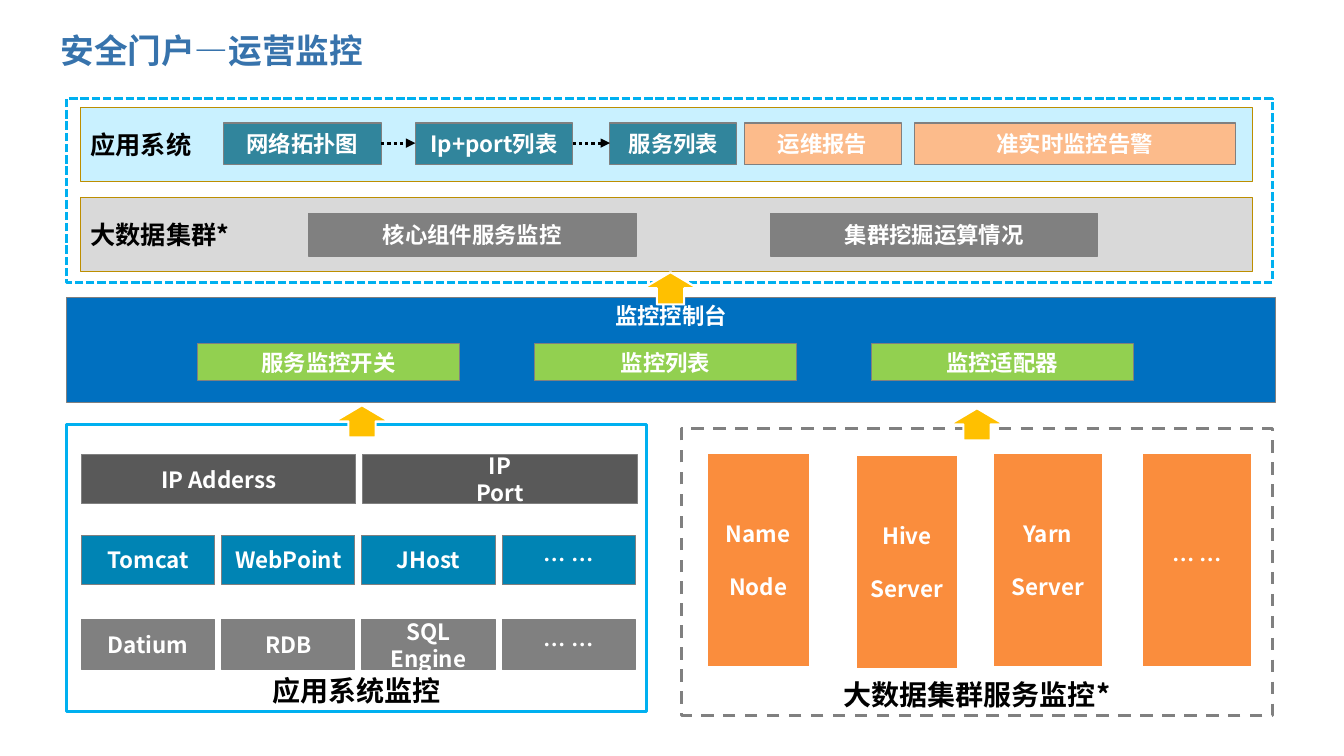
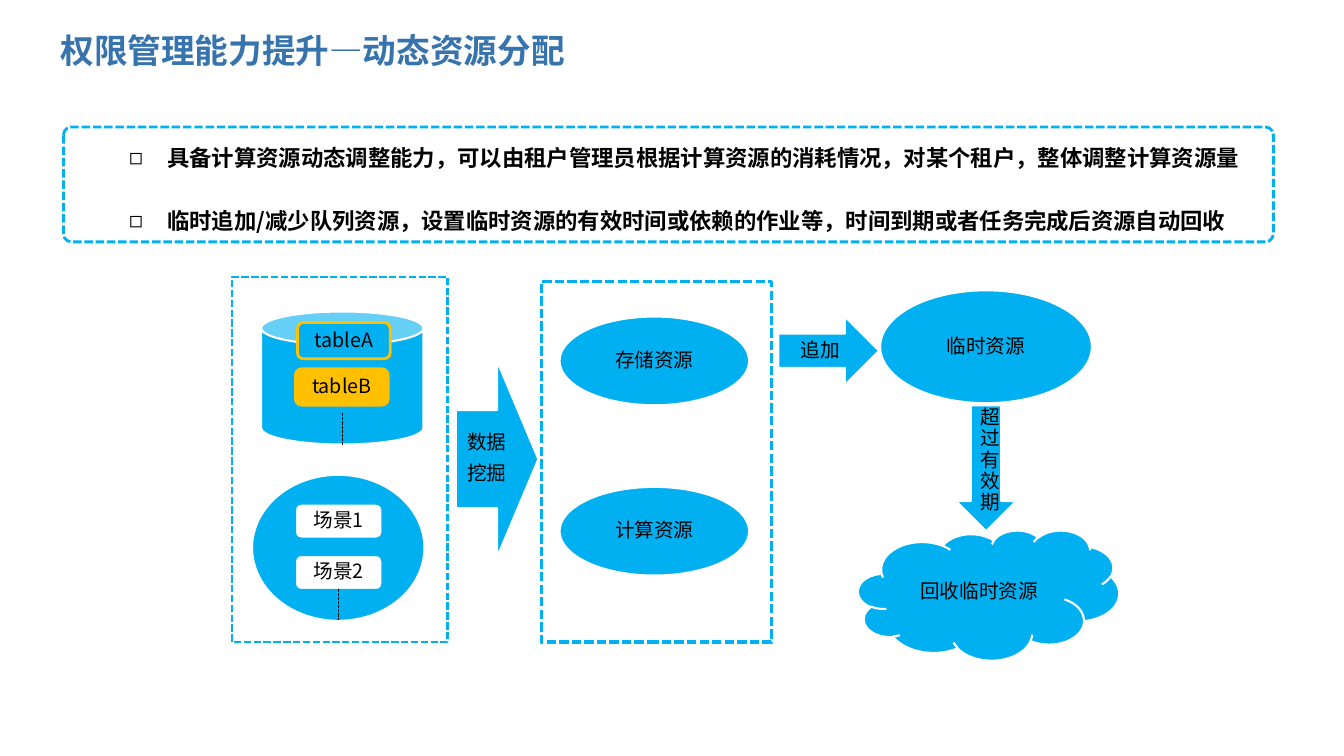
import dataclasses
import typing

import lxml.etree
import pptx
import pptx.dml.color
import pptx.enum.dml
import pptx.enum.shapes
import pptx.enum.text
import pptx.oxml.ns
import pptx.util

Inches = pptx.util.Inches
Pt = pptx.util.Pt
RGBColor = pptx.dml.color.RGBColor
Kind = pptx.enum.shapes.MSO_SHAPE
Dash = pptx.enum.dml.MSO_LINE
Align = pptx.enum.text.PP_ALIGN
Anchor = pptx.enum.text.MSO_ANCHOR
qn = pptx.oxml.ns.qn

FONT = "Noto Sans CJK SC"
WHITE = RGBColor(0xFF, 0xFF, 0xFF)
BLACK = RGBColor(0x00, 0x00, 0x00)
TITLE_BLUE = RGBColor(0x37, 0x73, 0xAC)
SKY = RGBColor(0x00, 0xB0, 0xF0)
PALE_SKY = RGBColor(0xC9, 0xF1, 0xFF)
CONSOLE_BLUE = RGBColor(0x00, 0x70, 0xC0)
MIDDLEWARE_BLUE = RGBColor(0x00, 0x84, 0xB4)
TEAL = RGBColor(0x31, 0x85, 0x9C)
GREEN = RGBColor(0x92, 0xD0, 0x50)
ORANGE = RGBColor(0xFA, 0x8D, 0x3D)
PEACH = RGBColor(0xFC, 0xBB, 0x8B)
AMBER = RGBColor(0xFF, 0xC0, 0x00)
OCHRE = RGBColor(0xBD, 0x8E, 0x00)
PALE_GRAY = RGBColor(0xD9, 0xD9, 0xD9)
GRAY = RGBColor(0x80, 0x80, 0x80)
DARK_GRAY = RGBColor(0x59, 0x59, 0x59)


class Box(typing.NamedTuple):
    """A rectangle in inches."""

    left: float
    top: float
    width: float
    height: float

    def inner(self, dx, dy, width, height):
        """Return a box offset from this box's corner."""
        return Box(self.left + dx, self.top + dy, width, height)

    def lengths(self):
        """Return the four measures as slide lengths."""
        return [Inches(value) for value in self]


@dataclasses.dataclass(frozen=True)
class Style:
    """Text settings for a label."""

    size: float = 16
    color: RGBColor = WHITE
    bold: bool = True
    align: Align = Align.CENTER
    anchor: Anchor = Anchor.MIDDLE
    spacing: float = 1.0
    gap: float = 0


TITLE = Style(24, TITLE_BLUE, align=Align.LEFT)
BULLETS = Style(16, BLACK, align=Align.LEFT, anchor=Anchor.TOP, gap=26)
BLOCK = Style()
NODE = Style(gap=19)
CONSOLE = Style(anchor=Anchor.TOP)
BAND = Style(18, BLACK, align=Align.LEFT)
PANEL = Style(20, BLACK, anchor=Anchor.BOTTOM)
FLOW = Style(14, BLACK, bold=False, spacing=0.9, gap=7)


def write(shape, lines, style, bullet=None):
    """Fill a shape with one paragraph per line."""
    frame = shape.text_frame
    frame.word_wrap = True
    frame.auto_size = pptx.enum.text.MSO_AUTO_SIZE.NONE
    frame.vertical_anchor = style.anchor
    for index, line in enumerate(lines):
        paragraph = frame.add_paragraph() if index else frame.paragraphs[0]
        paragraph.alignment = style.align
        paragraph.line_spacing = style.spacing
        paragraph.space_before = Pt(style.gap if index else 0)
        if bullet:
            props = paragraph._p.get_or_add_pPr()
            props.set("marL", str(Inches(0.38)))
            props.set("indent", str(-Inches(0.38)))
            lxml.etree.SubElement(props, qn("a:buChar")).set("char", bullet)
        run = paragraph.add_run()
        run.text = line
        run.font.size = Pt(style.size)
        run.font.bold = style.bold
        run.font.color.rgb = style.color
        run.font.name = FONT
        east_asian = lxml.etree.SubElement(run._r.get_or_add_rPr(), qn("a:ea"))
        east_asian.set("typeface", FONT)


def draw(slide, box, fill=None, line=GRAY, weight=0.75, dash=None,
         kind=Kind.RECTANGLE, lines=(), style=BLOCK):
    """Add a preset shape with its outline and label."""
    shape = slide.shapes.add_shape(kind, *box.lengths())
    shape.shadow.inherit = False
    if fill is None:
        shape.fill.background()
    else:
        shape.fill.solid()
        shape.fill.fore_color.rgb = fill
    shape.line.color.rgb = line
    shape.line.width = Pt(weight)
    if dash is not None:
        shape.line.dash_style = dash
    write(shape, lines, style)
    return shape


def connect(slide, start, end, weight, dash, arrow=False):
    """Add a straight dashed line, with an arrowhead if asked."""
    link = slide.shapes.add_connector(
        pptx.enum.shapes.MSO_CONNECTOR.STRAIGHT,
        *[Inches(value) for value in (*start, *end)])
    link.line.color.rgb = BLACK
    link.line.width = Pt(weight)
    link.line.dash_style = dash
    props = link._element.spPr
    if arrow:
        tail = lxml.etree.SubElement(props.find(qn("a:ln")), qn("a:tailEnd"))
        tail.set("type", "triangle")
    lxml.etree.SubElement(props, qn("a:effectLst"))


def titled_slide(deck, layout, title, width):
    """Add a slide with the shared title style."""
    slide = deck.slides.add_slide(deck.slide_layouts[layout])
    heading = slide.shapes.title
    heading.left, heading.top, heading.width, heading.height = Box(
        0.5, 0.18, width, 0.63).lengths()
    write(heading, [title], TITLE)
    return slide


def portal(slide, box):
    """Draw the dashed portal with its two bands."""
    draw(slide, box, line=SKY, weight=2, dash=Dash.SQUARE_DOT)
    systems = box.inner(0.14, 0.09, 11.62, 0.73)
    cluster = box.inner(0.14, 0.98, 11.62, 0.73)
    draw(slide, systems, PALE_SKY, OCHRE, lines=["应用系统"], style=BAND)
    draw(slide, cluster, PALE_GRAY, OCHRE, lines=["大数据集群*"], style=BAND)
    views = [("网络拓扑图", 1.42, 1.56, TEAL), ("Ip+port列表", 3.32, 1.56, TEAL),
             ("服务列表", 5.25, 1.26, TEAL), ("运维报告", 6.58, 1.56, PEACH),
             ("准实时监控告警", 8.27, 3.18, PEACH)]
    for name, dx, width, fill in views:
        draw(slide, systems.inner(dx, 0.15, width, 0.41), fill, lines=[name])
    middle = systems.top + 0.35
    for (_, dx, width, _), (_, following, _, _) in zip(views[:2], views[1:3]):
        connect(slide, (systems.left + dx + width, middle),
                (systems.left + following, middle), 2.25, Dash.ROUND_DOT, True)
    for name, dx in (("核心组件服务监控", 2.26), ("集群挖掘运算情况", 6.84)):
        draw(slide, cluster.inner(dx, 0.16, 3.25, 0.42), GRAY, lines=[name])


def console(slide, box):
    """Draw the monitoring console and its three functions."""
    draw(slide, box, CONSOLE_BLUE, lines=["监控控制台"], style=CONSOLE)
    for index, name in enumerate(("服务监控开关", "监控列表", "监控适配器")):
        draw(slide, box.inner(1.3 + 3.34 * index, 0.46, 2.6, 0.37), GREEN, lines=[name])


def system_panel(slide, box):
    """Draw the monitored application systems as rows of blocks."""
    draw(slide, box, WHITE, SKY, 2.25, lines=["应用系统监控"], style=PANEL)
    rows = [(0.3, 2.72, DARK_GRAY, [["IP Adderss"], ["IP", "Port"]]),
            (1.1, 1.32, MIDDLEWARE_BLUE, [["Tomcat"], ["WebPoint"], ["JHost"], ["… …"]]),
            (1.94, 1.32, GRAY, [["Datium"], ["RDB"], ["SQL Engine"], ["… …"]])]
    for dy, width, fill, names in rows:
        for column, lines in enumerate(names):
            draw(slide, box.inner(0.15 + column * (width + 0.07), dy, width, 0.49),
                 fill, lines=lines)


def cluster_panel(slide, box):
    """Draw the monitored cluster services as tall nodes."""
    draw(slide, box, WHITE, GRAY, 2.25, Dash.DASH,
         lines=["大数据集群服务监控*"], style=PANEL)
    nodes = [(0.25, 0.24, 1.02, ["Name", "Node"]), (1.73, 0.26, 1.01, ["Hive", "Server"]),
             (3.09, 0.24, 1.09, ["Yarn", "Server"]), (4.57, 0.24, 1.09, ["… …"])]
    for dx, dy, width, lines in nodes:
        draw(slide, box.inner(dx, dy, width, 2.13), ORANGE, WHITE, 1.5,
             lines=lines, style=NODE)


def monitoring_slide(deck):
    """Build the operations monitoring slide."""
    slide = titled_slide(deck, 5, "安全门户—运营监控", 10.03)
    portal(slide, Box(0.66, 0.98, 11.96, 1.82))
    console(slide, Box(0.66, 2.95, 11.99, 1.04))
    system_panel(slide, Box(0.66, 4.21, 5.75, 2.85))
    cluster_panel(slide, Box(6.76, 4.25, 5.86, 2.85))
    for left, top in ((3.32, 4.02), (9.42, 4.05), (6.38, 2.7)):
        draw(slide, Box(left, top, 0.54, 0.32), AMBER, WHITE, 1.5, kind=Kind.UP_ARROW)


def summary(slide, box):
    """Place the bullet list in its dashed rounded frame."""
    points = slide.placeholders[1]
    points.left, points.top, points.width, points.height = box.inner(
        0.65, 0.17, 11.19, 0.76).lengths()
    frame = points.text_frame
    frame.margin_left = frame.margin_right = frame.margin_top = frame.margin_bottom = 0
    write(points, [
        "具备计算资源动态调整能力，可以由租户管理员根据计算资源的消耗情况，对某个租户，整体调整计算资源量",
        "临时追加/减少队列资源，设置临时资源的有效时间或依赖的作业等，时间到期或者任务完成后资源自动回收",
    ], BULLETS, "◻")
    border = draw(slide, box, line=SKY, weight=2, dash=Dash.SQUARE_DOT,
                  kind=Kind.ROUNDED_RECTANGLE)
    border.adjustments[0] = 0.07


def flow(slide, box, kind, *lines):
    """Draw one blue step of the resource flow."""
    draw(slide, box, SKY, WHITE, 1.5, kind=kind, lines=lines, style=FLOW)


def data_sources(slide, box):
    """Draw the tables and scenarios that feed the mining."""
    draw(slide, box, line=SKY, weight=1.75, dash=Dash.SQUARE_DOT)
    flow(slide, box.inner(0.29, 0.34, 1.61, 1.32), Kind.CAN)
    flow(slide, box.inner(0.2, 1.96, 1.71, 1.45), Kind.OVAL)
    items = [("tableA", 0.65, 0.45, 0.92, 0.36, SKY, AMBER, 2),
             ("tableB", 0.63, 0.91, 0.92, 0.36, AMBER, AMBER, 2),
             ("场景1", 0.63, 2.25, 0.86, 0.34, WHITE, SKY, 1),
             ("场景2", 0.63, 2.76, 0.86, 0.34, WHITE, SKY, 1)]
    for name, dx, dy, width, height, fill, line, weight in items:
        draw(slide, box.inner(dx, dy, width, height), fill, line, weight,
             kind=Kind.ROUNDED_RECTANGLE, lines=[name], style=FLOW)
    for dx, dy in ((1.1, 1.35), (1.06, 3.09)):
        x, y = box.left + dx, box.top + dy
        connect(slide, (x, y), (x, y + 0.31), 0.75, Dash.SQUARE_DOT)


def resource_pool(slide, box):
    """Draw the storage and computing resources."""
    draw(slide, box, line=SKY, weight=2.25, dash=Dash.SQUARE_DOT)
    for name, dy in (("存储资源", 0.35), ("计算资源", 2.04)):
        flow(slide, box.inner(0.18, dy, 1.88, 0.88), Kind.OVAL, name)


def temporary_resources(slide, box):
    """Draw the adding and recycling of temporary resources."""
    flow(slide, box.inner(0, 0.26, 1, 0.68), Kind.RIGHT_ARROW, "追加")
    flow(slide, box.inner(1.01, 0, 2.1, 1.12), Kind.OVAL, "临时资源")
    flow(slide, box.inner(1.76, 1.14, 0.6, 1.25), Kind.DOWN_ARROW, "超过有效期")
    flow(slide, box.inner(0.79, 2.38, 2.59, 1.29), Kind.CLOUD, "回收临时资源")


def allocation_slide(deck):
    """Build the dynamic resource allocation slide."""
    slide = titled_slide(deck, 1, "权限管理能力提升—动态资源分配", 9.53)
    summary(slide, Box(0.63, 1.26, 12, 1.14))
    data_sources(slide, Box(2.3, 2.75, 2.14, 3.62))
    flow(slide, Box(4.52, 3.58, 0.82, 1.95), Kind.RIGHT_ARROW, "数据", "挖掘")
    resource_pool(slide, Box(5.37, 2.79, 2.28, 3.58))
    temporary_resources(slide, Box(7.72, 2.88, 3.38, 3.67))


def main():
    """Build and save the presentation."""
    deck = pptx.Presentation()
    deck.slide_width = Inches(13.33)
    deck.slide_height = Inches(7.5)
    monitoring_slide(deck)
    allocation_slide(deck)
    deck.save("out.pptx")


if __name__ == "__main__":
    main()
